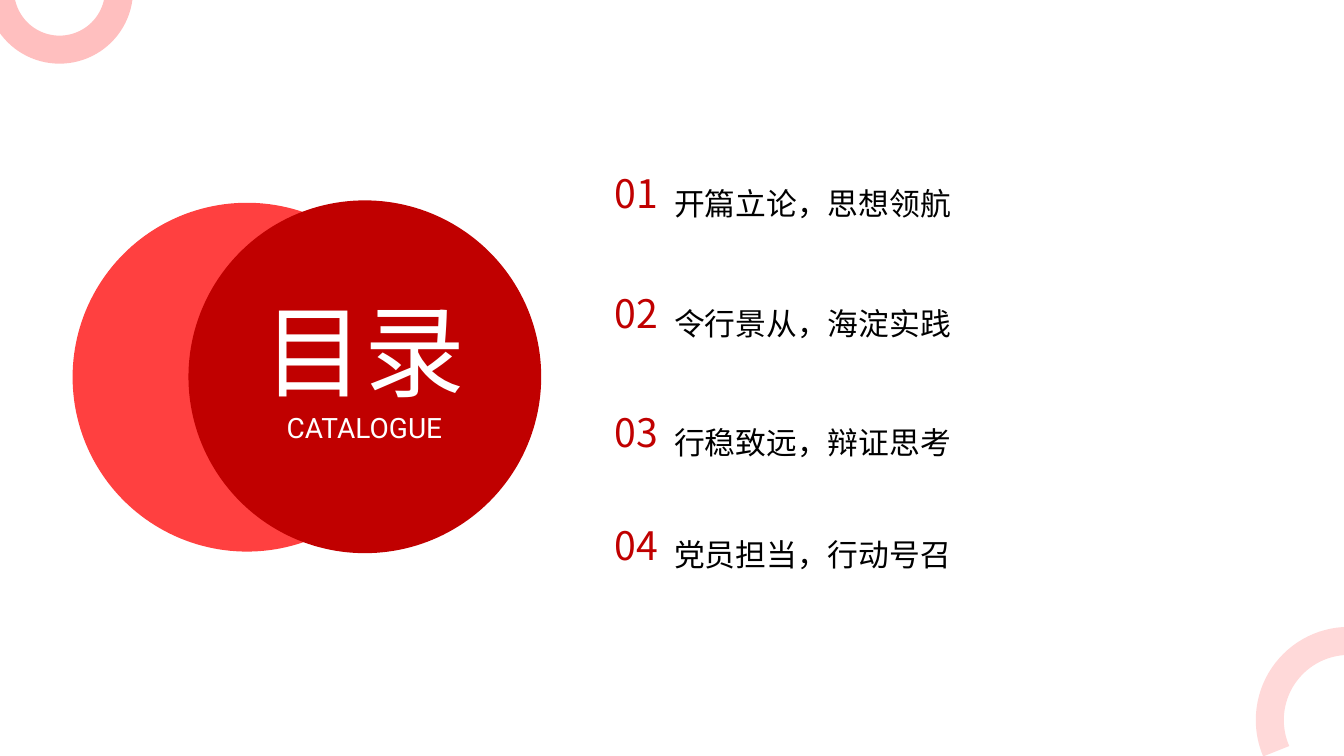
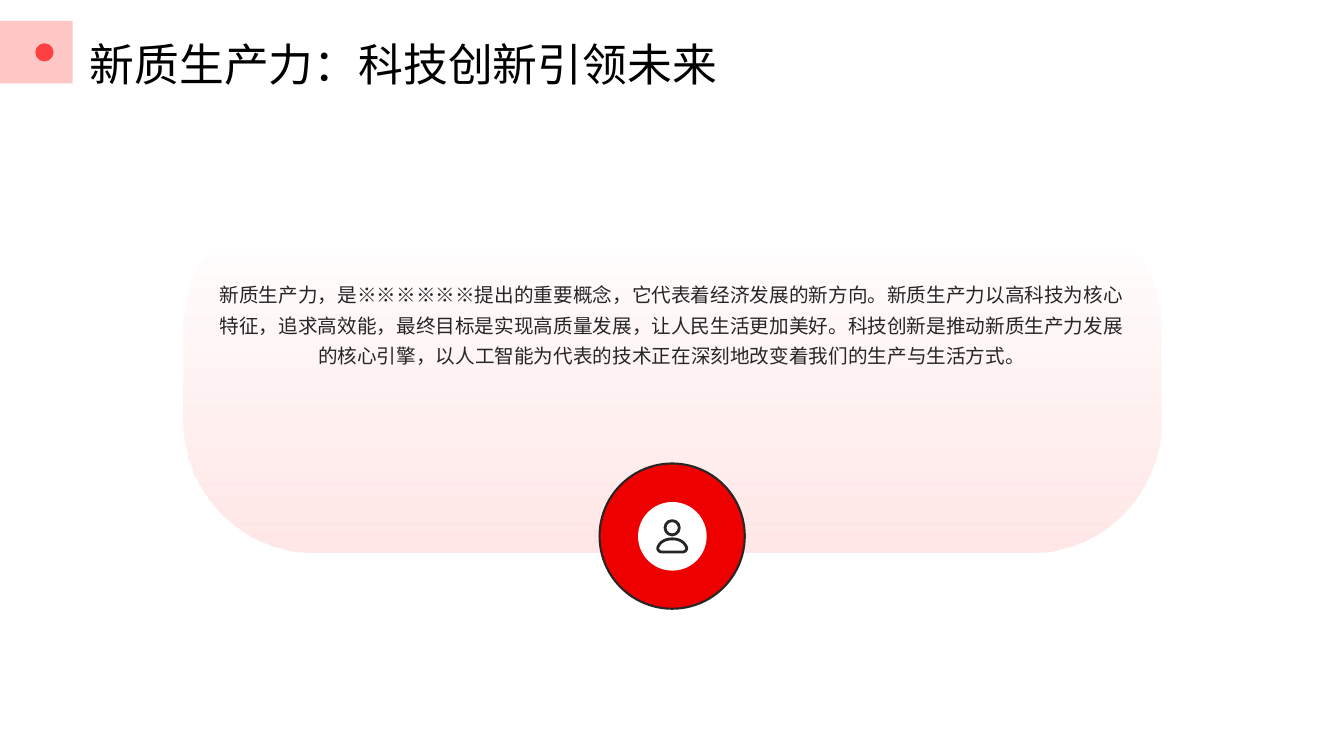
import lxml.etree
import pptx
import pptx.util
from pptx.dml.color import RGBColor
from pptx.enum.shapes import MSO_SHAPE
from pptx.enum.text import MSO_ANCHOR, MSO_AUTO_SIZE, PP_ALIGN
from pptx.oxml.ns import qn
from pptx.util import Cm

WHITE = RGBColor(0xFF, 0xFF, 0xFF)
BLACK = RGBColor(0x00, 0x00, 0x00)
INK = RGBColor(0x26, 0x26, 0x26)
DEEP_RED = RGBColor(0xC0, 0x00, 0x00)
BADGE_RED = RGBColor(0xEF, 0x00, 0x00)
LIGHT_RED = RGBColor(0xFF, 0x40, 0x40)
TAB_PINK = RGBColor(0xFF, 0xB3, 0xB3)
RING_PINK = RGBColor(0xFF, 0xBF, 0xBF)
PALE_PINK = RGBColor(0xFF, 0xD9, 0xD9)

CJK = "Noto Sans CJK SC"
LATIN = "Roboto"
MIDDLE = MSO_ANCHOR.MIDDLE
TOP = MSO_ANCHOR.TOP

COVER_WORD = {"font": LATIN, "size": 72, "color": WHITE, "anchor": MIDDLE,
              "alignment": PP_ALIGN.CENTER, "line_spacing": 1.1}
COVER_CAPTION = {**COVER_WORD, "size": 20}
NUMBER = {"font": CJK, "size": 28, "color": DEEP_RED, "anchor": MIDDLE,
          "alignment": PP_ALIGN.LEFT, "line_spacing": 1.0}
CHAPTER = {**NUMBER, "size": 22, "color": BLACK, "anchor": TOP, "line_spacing": 1.3}
SLIDE_TITLE = {**NUMBER, "size": 32, "color": BLACK, "line_spacing": 1.5}
BODY = {**CHAPTER, "size": 14, "color": INK, "alignment": PP_ALIGN.CENTER}


def draw(slide, kind, box, fill=None, line=None, width=0):
    shape = slide.shapes.add_shape(kind, *[Cm(length) for length in box])
    shape.shadow.inherit = False
    if fill is None:
        shape.fill.background()
    else:
        shape.fill.solid()
        shape.fill.fore_color.rgb = fill
    if line is None:
        shape.line.fill.background()
    else:
        shape.line.color.rgb = line
        shape.line.width = pptx.util.Pt(width)
    return shape


def write(holder, box, text, style):
    for side, length in zip(("left", "top", "width", "height"), box):
        setattr(holder, side, Cm(length))
    frame = holder.text_frame
    frame_format = {"word_wrap": True, "auto_size": MSO_AUTO_SIZE.NONE,
                    "vertical_anchor": style["anchor"], "margin_left": 0,
                    "margin_top": 0, "margin_right": 0, "margin_bottom": 0}
    for attribute, value in frame_format.items():
        setattr(frame, attribute, value)
    paragraph = frame.paragraphs[0]
    paragraph_format = {"alignment": style["alignment"],
                        "line_spacing": style["line_spacing"],
                        "space_before": pptx.util.Pt(0)}
    for attribute, value in paragraph_format.items():
        setattr(paragraph, attribute, value)
    run = paragraph.add_run()
    run.text = text
    font_format = {"name": style["font"], "size": pptx.util.Pt(style["size"])}
    for attribute, value in font_format.items():
        setattr(run.font, attribute, value)
    run.font.color.rgb = style["color"]
    east_asian = lxml.etree.SubElement(run.font._element, qn("a:ea"))
    east_asian.set("typeface", CJK)
    holder._element.getparent().append(holder._element)


deck = pptx.Presentation()
deck.slide_width = Cm(33.87)
deck.slide_height = Cm(19.05)

contents = deck.slides.add_slide(deck.slide_layouts[5])
draw(contents, MSO_SHAPE.OVAL, (1.83, 5.11, 8.79, 8.79), LIGHT_RED)
draw(contents, MSO_SHAPE.OVAL, (4.75, 5.05, 8.89, 8.89), DEEP_RED)

corner_rings = [
    ((0, -1.75, 3, 3), RING_PINK, 0, False),
    ((32, 16.15, 3.99, 3.99), PALE_PINK, 23.22, True),
]
for box, color, end_angle, flipped in corner_rings:
    ring = draw(contents, MSO_SHAPE.ARC, box, None, color, 20)
    ring.rotation = 180
    ring.adjustments[0] = 107.8 * 0.6
    ring.adjustments[1] = end_angle * 0.6
    if flipped:
        ring._element.spPr.find(qn("a:xfrm")).set("flipV", "1")

write(contents.shapes.title, (5.82, 7.26, 6.73, 2.79), "目录", COVER_WORD)
caption = contents.shapes.add_textbox(0, 0, 0, 0)
write(caption, (5.92, 10.34, 6.53, 0.79), "CATALOGUE", COVER_CAPTION)

chapters = [
    (4.27, "开篇立论，思想领航"),
    (7.29, "令行景从，海淀实践"),
    (10.29, "行稳致远，辩证思考"),
    (13.13, "党员担当，行动号召"),
]
for position, (top, chapter) in enumerate(chapters, 1):
    number = contents.shapes.add_textbox(0, 0, 0, 0)
    write(number, (15.49, top, 1.5, 1.19), f"{position:02d}", NUMBER)
    heading = contents.shapes.add_textbox(0, 0, 0, 0)
    write(heading, (16.99, top + 0.1, 15.01, 2.49), chapter, CHAPTER)

innovation = deck.slides.add_slide(deck.slide_layouts[1])
panel = draw(innovation, MSO_SHAPE.ROUNDED_RECTANGLE, (4.62, 4.93, 24.64, 8.99), PALE_PINK)
panel.adjustments[0] = 0.37
panel.fill.gradient()
panel.fill.gradient_angle = 270
for stop, position in zip(panel.fill.gradient_stops, (0.1, 1)):
    stop.color.rgb = PALE_PINK
    stop.position = position

draw(innovation, MSO_SHAPE.OVAL, (15.11, 11.68, 3.66, 3.66), BADGE_RED, INK, 1.5)
write(innovation.placeholders[1], (5.36, 6.96, 23.14, 4.47),
      "新质生产力，是※※※※※※提出的重要概念，它代表着经济发展的新方向。"
      "新质生产力以高科技为核心特征，追求高效能，最终目标是实现高质量发展，"
      "让人民生活更加美好。科技创新是推动新质生产力发展的核心引擎，"
      "以人工智能为代表的技术正在深刻地改变着我们的生产与生活方式。", BODY)
body_properties = innovation.placeholders[1].text_frame.paragraphs[0]._p.get_or_add_pPr()
for attribute in ("marL", "indent"):
    body_properties.set(attribute, "0")
lxml.etree.SubElement(body_properties, qn("a:buNone"))

draw(innovation, MSO_SHAPE.OVAL, (16.08, 12.65, 1.73, 1.73), WHITE)
draw(innovation, MSO_SHAPE.OVAL, (16.76, 13.12, 0.36, 0.36), None, INK, 2)

shoulder_curves = [
    ((0, 13.58), (0.18, 13.58), (0.31, 13.66), (0.36, 13.79)),
    ((0.36, 13.79), (0.38, 13.85), (0.33, 13.91), (0.26, 13.91)),
]
STEPS = 12
right_side = []
for curve in shoulder_curves:
    for step in range(STEPS + 1):
        t = step / STEPS
        weights = ((1 - t) ** 3, 3 * t * (1 - t) ** 2, 3 * t ** 2 * (1 - t), t ** 3)
        right_side.append([sum(w * point[axis] for w, point in zip(weights, curve))
                           for axis in (0, 1)])
outline = right_side + [(-x, y) for x, y in reversed(right_side)]
outline = [(Cm(16.94 + x), Cm(y)) for x, y in outline]
builder = innovation.shapes.build_freeform(*outline[0])
builder.add_line_segments(outline[1:], close=True)
shoulders = builder.convert_to_shape()
shoulders.shadow.inherit = False
shoulders.fill.background()
shoulders.line.color.rgb = INK
shoulders.line.width = pptx.util.Pt(2)

write(innovation.shapes.title, (2.26, 0.66, 21.62, 1.19), "新质生产力：科技创新引领未来", SLIDE_TITLE)
title_tab = draw(innovation, MSO_SHAPE.RECTANGLE, (-0.71, 0.53, 2.54, 1.57), TAB_PINK)
draw(innovation, MSO_SHAPE.OVAL, (0.89, 1.09, 0.46, 0.46), LIGHT_RED)

for shape, opacities in ((panel, (0, 65)), (title_tab, (75,))):
    for color, opacity in zip(shape._element.spPr.iter(qn("a:srgbClr")), opacities):
        lxml.etree.SubElement(color, qn("a:alpha")).set("val", str(opacity * 1000))

deck.save("out.pptx")
